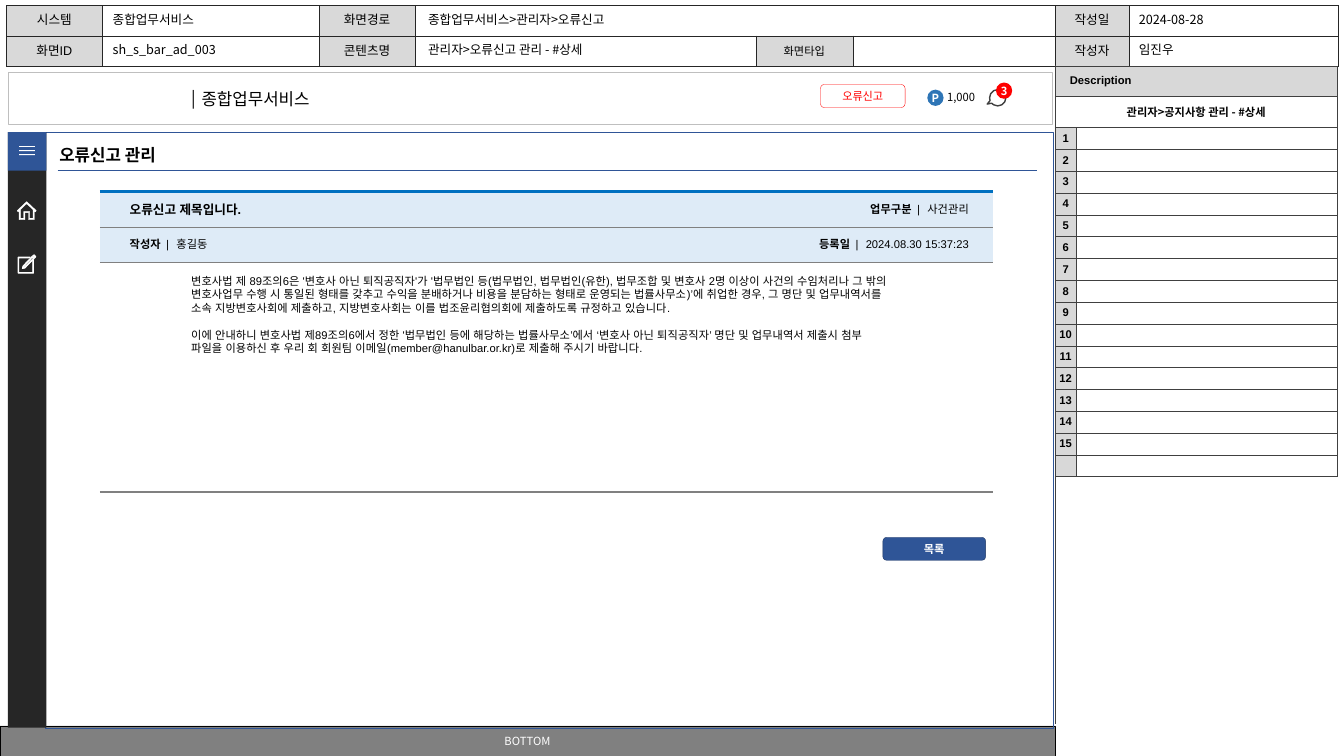
from lxml import etree
from pptx import Presentation
from pptx.dml.color import RGBColor
from pptx.enum.shapes import MSO_CONNECTOR, MSO_SHAPE
from pptx.enum.text import MSO_ANCHOR, MSO_AUTO_SIZE, PP_ALIGN
from pptx.oxml.ns import qn
from pptx.util import Cm, Pt

RECTANGLE, ROUNDED, OVAL = MSO_SHAPE.RECTANGLE, MSO_SHAPE.ROUNDED_RECTANGLE, MSO_SHAPE.OVAL
BUBBLE = MSO_SHAPE.OVAL_CALLOUT
LEFT, CENTER, RIGHT = PP_ALIGN.LEFT, PP_ALIGN.CENTER, PP_ALIGN.RIGHT
TOP, MIDDLE = MSO_ANCHOR.TOP, MSO_ANCHOR.MIDDLE
NOTO, ARIAL = "Noto Sans CJK KR", "Arial"
BLUE, GRAY, DARK, WHITE, RED = "2F5597", "808080", "404040", "FFFFFF", "FF0000"


def paint(fill, color):
    """Fill an area, outline or font; None leaves it empty."""
    if color is None:
        fill.background()
    else:
        fill.solid()
        fill.fore_color.rgb = RGBColor.from_string(color)


def write(frame, text, size=8, font=NOTO, color="000000", bold=False, align=LEFT,
          label=None, spacing=0, gap=0):
    """Write paragraphs; a label goes in bold before a separator."""
    for index, line in enumerate(text.split("\n")):
        paragraph = frame.paragraphs[0] if index == 0 else frame.add_paragraph()
        paragraph.alignment = align
        if index:
            paragraph.space_before = Pt(gap)
        if not line:
            etree.SubElement(paragraph._p, qn("a:endParaRPr"), sz=str(size * 100))
            continue
        parts = [(line, bold, spacing)]
        if label:
            parts = [(label, True, 0), (" | ", False, 1.5)] + parts
        for words, heavy, tracking in parts:
            run = paragraph.add_run()
            run.text = words
            run.font.size, run.font.name, run.font.bold = Pt(size), font, heavy
            paint(run.font.fill, color)
            properties = run.font._element
            etree.SubElement(properties, qn("a:ea"), typeface=font)
            if tracking:
                properties.set("spc", str(round(tracking * 100)))


presentation = Presentation()
presentation.slide_width, presentation.slide_height = Cm(33.87), Cm(19.05)
slide = presentation.slides.add_slide(presentation.slide_layouts[5])
shapes = slide.shapes

# Page title
title = shapes.title
title.left, title.top, title.width, title.height = Cm(1.24), Cm(3.53), Cm(3.23), Cm(0.76)
title.text_frame.word_wrap = False
title.text_frame.vertical_anchor = TOP
write(title.text_frame, "오류신고 관리", size=12, bold=True)

# Tables: header fields, description list, report panel
header_labels = {(0, 0): "시스템", (0, 2): "화면경로", (0, 6): "작성일", (1, 0): "화면ID",
                 (1, 2): "콘텐츠명", (1, 4): "화면타입", (1, 6): "작성자"}
description_labels = {(0, 0): "Description", (1, 0): "관리자>공지사항 관리 - #상세"}
description_labels.update({(number + 1, 0): str(number) for number in range(1, 16)})
header_grays = set(header_labels)
description_grays = {(row, 0) for row in range(18) if row != 1}
panel_blues = {(row, column) for row in range(2) for column in range(4)}
header_edges = [("262626", 0.25)] * 3
description_edges = [(DARK, 0.25)] * 19
panel_edges = [("0070C0", 2.25), (GRAY, 0.5), (GRAY, 0.5), (GRAY, 1)]

# left, top, columns, rows, labels, text format, tinted cells, tint, merges, row edges, side edge
tables = [
    (0.16, 0.13, [2.42, 5.46, 2.42, 8.59, 2.44, 5.1, 1.86, 5.28], [0.77] * 2,
     header_labels, {"size": 9, "font": ARIAL}, header_grays, "D9D9D9",
     [((0, 3), (0, 5))], header_edges, ("262626", 0.25)),
    (26.59, 1.67, [0.53, 6.58], [0.74, 0.8] + [0.55] * 16,
     description_labels, {"font": ARIAL, "bold": True}, description_grays, "D8D8D8",
     [((0, 0), (0, 1)), ((1, 0), (1, 1))], description_edges, (DARK, 0.25)),
    (2.52, 4.83, [3.18, 8.07] * 2, [0.89, 0.89, 5.79],
     {}, {}, panel_blues, "DEEBF7", [], panel_edges, None),
]
for left, top, columns, rows, labels, style, tinted, tint, merges, edges, side in tables:
    table = shapes.add_table(len(rows), len(columns), Cm(left), Cm(top),
                             Cm(sum(columns)), Cm(sum(rows))).table
    table.first_row = table.horz_banding = False
    for column, width in zip(table.columns, columns):
        column.width = Cm(width)
    for r, height in enumerate(rows):
        table.rows[r].height = Cm(height)
        for c in range(len(columns)):
            cell = table.cell(r, c)
            cell.margin_left = cell.margin_right = Cm(0.08)
            cell.margin_top = cell.margin_bottom = Cm(0.08)
            cell.vertical_anchor = MIDDLE
            text = labels.get((r, c), "")
            cell_style = dict(style, align=CENTER)
            if text == "Description":
                cell_style["align"] = LEFT
                cell.margin_left = Cm(0.37)
            elif text == "화면타입":
                cell_style.update(size=8, font=NOTO)
            elif text.startswith("관리자"):
                cell_style["font"] = NOTO
            write(cell.text_frame, text, **cell_style)
            paint(cell.fill, tint if (r, c) in tinted else WHITE)
            borders = [("lnL", side), ("lnR", side), ("lnT", edges[r]), ("lnB", edges[r + 1])]
            for position, (tag, edge) in enumerate(borders):
                border = etree.Element(qn("a:" + tag))
                if edge:
                    border.set("w", str(int(Pt(edge[1]))))
                    solid = etree.SubElement(border, qn("a:solidFill"))
                    etree.SubElement(solid, qn("a:srgbClr"), val=edge[0])
                else:
                    etree.SubElement(border, qn("a:noFill"))
                cell._tc.get_or_add_tcPr().insert(position, border)
    for first, last in merges:
        table.cell(*first).merge(table.cell(*last))

# Frames, bars, buttons and badges
blocks = [
    (RECTANGLE, 0, 18.29, 26.59, 0.76, GRAY, "000000", 0.25, "BOTTOM", {"color": WHITE}),
    (RECTANGLE, 0.2, 1.83, 26.31, 1.3, None, "BFBFBF", 0.5, "", {}),
    (OVAL, 23.37, 2.26, 0.41, 0.41, "2E75B6", None, 0, "P", {"color": WHITE, "bold": True}),
    (BUBBLE, 24.94, 2.26, 0.41, 0.41, None, DARK, 1, "", {}),
    (OVAL, 25.1, 2.08, 0.41, 0.41, RED, None, 0, "3", {"color": WHITE, "bold": True}),
    (RECTANGLE, 1.14, 3.33, 25.4, 15.01, None, BLUE, 0.25, "", {}),
    (ROUNDED, 20.68, 2.13, 2.13, 0.58, WHITE, RED, 0.25, "오류신고",
     {"color": RED, "spacing": -0.1}),
    (ROUNDED, 22.25, 13.54, 2.59, 0.58, BLUE, "203864", 0.25, "목록",
     {"color": WHITE, "bold": True, "spacing": -0.1}),
    (RECTANGLE, 0.2, 3.33, 0.97, 15.01, "262626", None, 0, "", {}),
    (RECTANGLE, 0.2, 3.33, 0.97, 0.97, BLUE, None, 0, "", {}),
]
for kind, left, top, width, height, fill, outline, weight, text, style in blocks:
    shape = shapes.add_shape(kind, Cm(left), Cm(top), Cm(width), Cm(height))
    shape.shadow.inherit = False
    paint(shape.fill, fill)
    paint(shape.line.fill, outline)
    if outline:
        shape.line.width = Pt(weight)
    if kind == BUBBLE:
        shape.adjustments[0], shape.adjustments[1] = -0.65, 0.39
    if text:
        frame = shape.text_frame
        frame.margin_left = frame.margin_right = frame.margin_top = frame.margin_bottom = 0
        frame.vertical_anchor = MIDDLE
        frame.word_wrap = kind != OVAL
        write(frame, text, align=CENTER, **style)

# Side menu icons, drawn in thousandths of an inch
menu_icon = [[(190, y), (345, y), (345, y + 9), (190, y + 9)] for y in (1450, 1490, 1530)]
home_icon = [
    [(265, 2000), (360, 2090), (350, 2102), (340, 2092), (340, 2180), (283, 2180), (283, 2110),
     (247, 2110), (247, 2180), (190, 2180), (190, 2092), (180, 2102), (170, 2090)],
    [(328, 2165), (328, 2080), (265, 2020), (202, 2080), (202, 2165), (235, 2165), (235, 2098),
     (295, 2098), (295, 2165)],
]
edit_icon = [
    [(325, 2536), (340, 2527), (357, 2545), (348, 2558)],
    [(320, 2542), (342, 2563), (248, 2660), (222, 2664), (228, 2638)],
    [(322, 2552), (332, 2562), (245, 2650), (236, 2642)],
    [(180, 2550), (300, 2550), (294, 2559), (188, 2559), (188, 2702), (324, 2702), (324, 2592),
     (333, 2583), (333, 2710), (180, 2710)],
]
for contours, weight in ((menu_icon, 0), (home_icon, 0.25), (edit_icon, 0.5)):
    builder = shapes.build_freeform(*contours[0][0], scale=Cm(2.54) / 1000)
    for index, contour in enumerate(contours):
        if index:
            builder.move_to(*contour[0])
        builder.add_line_segments(contour[1:], close=True)
    icon = builder.convert_to_shape()
    icon.shadow.inherit = False
    paint(icon.fill, WHITE)
    paint(icon.line.fill, WHITE if weight else None)
    if weight:
        icon.line.width = Pt(weight)

# Column divider and title underline
for x1, y1, x2, y2, color, weight in ((26.59, 18.24, 26.59, 1.65, DARK, 0.5),
                                      (1.45, 4.29, 26.14, 4.29, BLUE, 1)):
    line = shapes.add_connector(MSO_CONNECTOR.STRAIGHT, Cm(x1), Cm(y1), Cm(x2), Cm(y2))
    paint(line.line.fill, color)
    line.line.width = Pt(weight)
    etree.SubElement(line._element.spPr, qn("a:effectLst"))

# Text boxes: left, top, width, height, anchor, wrap, margin, text, format
notice = (
    "변호사법 제 89조의6은 '변호사 아닌 퇴직공직자'가 '법무법인 등(법무법인, 법무법인(유한), 법무조합 및 "
    "변호사 2명 이상이 사건의 수임처리나 그 밖의 변호사업무 수행 시 통일된 형태를 갖추고 수익을 분배하거나 "
    "비용을 분담하는 형태로 운영되는 법률사무소)’에 취업한 경우, 그 명단 및 업무내역서를 소속 "
    "지방변호사회에 제출하고, 지방변호사회는 이를 법조윤리협의회에 제출하도록 규정하고 있습니다.\n"
    "이에 안내하니 변호사법 제89조의6에서 정한 '법무법인 등에 해당하는 법률사무소’에서 ‘변호사 아닌 "
    "퇴직공직자’ 명단 및 업무내역서 제출시 첨부 파일을 이용하신 후 우리 회 회원팀 "
    "이메일(member@hanulbar.or.kr)로 제출해 주시기 바랍니다.")
nine, twelve, arial = {"size": 9}, {"size": 12}, {"font": ARIAL}
text_boxes = [
    (2.59, 0.16, 5.41, 0.66, MIDDLE, True, 0.25, "종합업무서비스", nine),
    (2.59, 0.92, 5.41, 0.66, MIDDLE, True, 0.25, "sh_s_bar_ad_003", nine),
    (10.54, 0.16, 15.93, 0.66, MIDDLE, True, 0.25, "종합업무서비스>관리자>오류신고", nine),
    (10.54, 0.92, 8.33, 0.66, MIDDLE, True, 0.25, "관리자>오류신고 관리 - #상세", nine),
    (28.45, 0.16, 4.78, 0.66, MIDDLE, True, 0.25, "2024-08-28", nine),
    (28.45, 0.92, 4.78, 0.66, MIDDLE, True, 0.25, "임진우", nine),
    (4.57, 2.08, 0.61, 0.76, TOP, False, 0.25, "|", twelve),
    (4.83, 2.11, 3.61, 0.76, TOP, False, 0.25, "종합업무서비스", twelve),
    (23.77, 2.18, 1.15, 0.53, TOP, False, 0.1, "1,000", {}),
    (3.02, 4.95, 3.8, 0.64, TOP, False, 0.25, "오류신고 제목입니다.",
     {"size": 9, "font": ARIAL, "bold": True}),
    (20.67, 4.98, 4, 0.61, TOP, True, 0.25, "사건관리",
     dict(arial, label="업무구분", align=RIGHT)),
    (3.02, 5.84, 4, 0.61, TOP, True, 0.25, "홍길동", dict(arial, label="작성자")),
    (18.67, 5.84, 6, 0.61, TOP, True, 0.25, "2024.08.30 15:37:23",
     dict(arial, label="등록일", align=RIGHT)),
    (4.57, 6.78, 18.1, 2.31, TOP, True, 0.25, notice, dict(arial, gap=9.6)),
]
for left, top, width, height, anchor, wrap, margin, text, style in text_boxes:
    frame = shapes.add_textbox(Cm(left), Cm(top), Cm(width), Cm(height)).text_frame
    frame.word_wrap = wrap
    frame.auto_size = MSO_AUTO_SIZE.SHAPE_TO_FIT_TEXT
    frame.vertical_anchor = anchor
    frame.margin_left = frame.margin_right = Cm(margin)
    frame.margin_top = frame.margin_bottom = Cm(min(margin, 0.13))
    write(frame, text, **style)

presentation.save("out.pptx")
